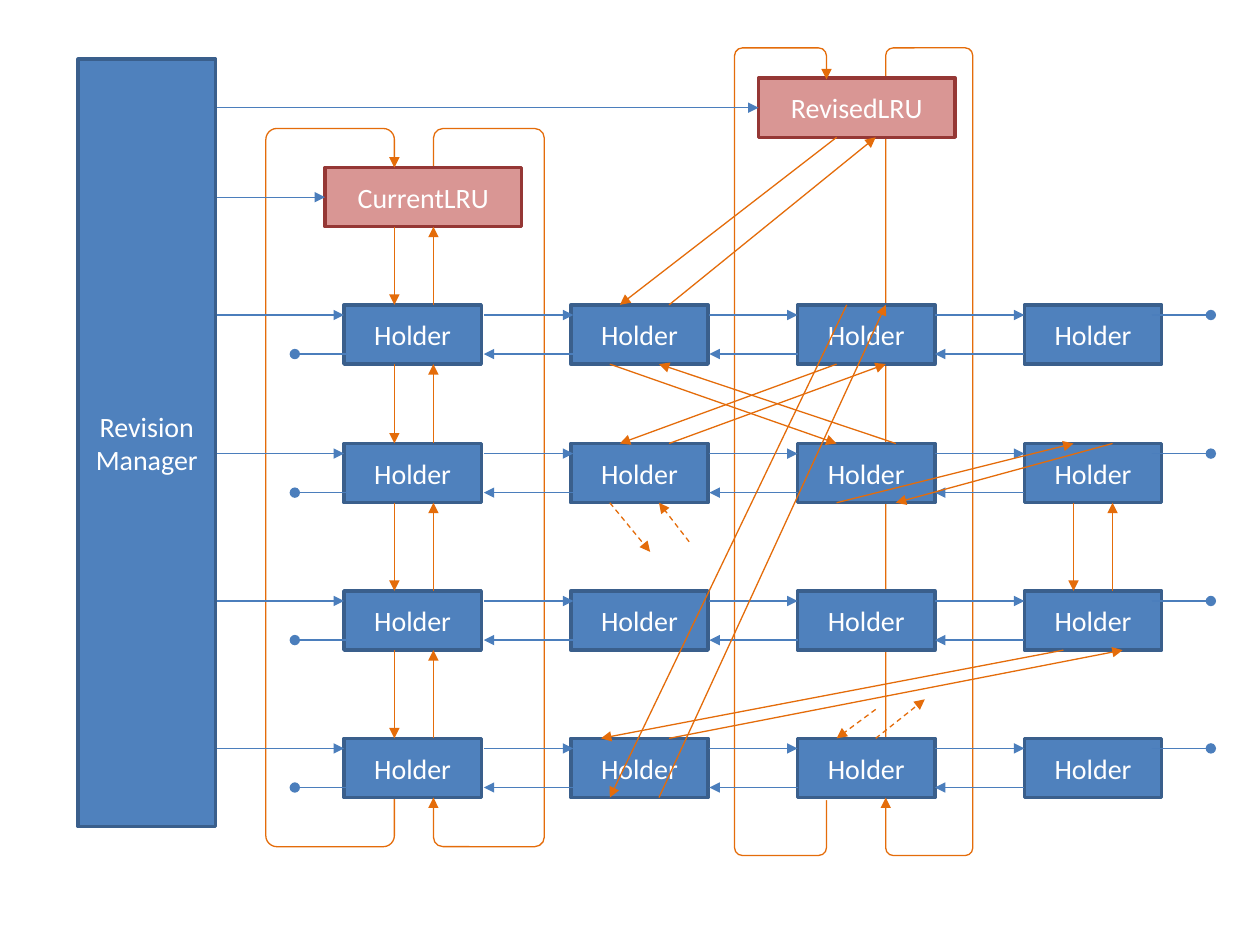
import pptx
import pptx.util
import pptx.dml.color
import pptx.enum.dml
import pptx.enum.shapes
import pptx.enum.text
import pptx.oxml
import pptx.oxml.ns
from dataclasses import dataclass
from typing import Optional

Inches = pptx.util.Inches
Shapes = pptx.enum.shapes.MSO_SHAPE


@dataclass(frozen=True)
class Theme:
    font: str = "Calibri"
    text_size: float = 16
    text: str = "FFFFFF"
    page: str = "FFFFFF"
    blue: str = "4F81BD"
    blue_edge: str = "3A5F8C"
    red: str = "D99694"
    red_edge: str = "953735"
    pointer: str = "4B7EBC"
    lru_link: str = "E46C0A"
    thin: float = 0.75
    thick: float = 2


@dataclass(frozen=True)
class Node:
    lines: tuple[str, ...]
    left: float
    top: float
    width: float
    height: float
    fill: str
    edge: str


@dataclass(frozen=True)
class Link:
    x1: float
    y1: float
    x2: float
    y2: float
    color: str
    head: str = "triangle"
    dashed: bool = False


@dataclass(frozen=True)
class Loop:
    left: float
    top: float
    width: float
    height: float
    flipped: bool = False
    mask: Optional[tuple[float, float, float, float]] = None


theme = Theme()
deck = pptx.Presentation()
deck.slide_width, deck.slide_height = Inches(10), Inches(7.5)
page = deck.slides.add_slide(deck.slide_layouts[6])


def rgb(color: str) -> pptx.dml.color.RGBColor:
    return pptx.dml.color.RGBColor.from_string(color)


def add_box(kind, left: float, top: float, width: float, height: float,
            fill: Optional[str], edge: Optional[str], weight: float = theme.thin):
    box = page.shapes.add_shape(kind, Inches(left), Inches(top), Inches(width), Inches(height))
    box.shadow.inherit = False
    if fill:
        box.fill.solid()
        box.fill.fore_color.rgb = rgb(fill)
    else:
        box.fill.background()
    if edge:
        box.line.color.rgb = rgb(edge)
        box.line.width = pptx.util.Pt(weight)
    else:
        box.line.fill.background()
    return box


def draw_node(node: Node) -> None:
    box = add_box(Shapes.RECTANGLE, node.left, node.top, node.width, node.height,
                  node.fill, node.edge, theme.thick)
    frame = box.text_frame
    frame.word_wrap = True
    frame.vertical_anchor = pptx.enum.text.MSO_ANCHOR.MIDDLE
    para = frame.paragraphs[0]
    para.alignment = pptx.enum.text.PP_ALIGN.CENTER
    for index, line in enumerate(node.lines):
        if index:
            para.add_line_break()
        span = para.add_run()
        span.text = line
        span.font.name = theme.font
        span.font.size = pptx.util.Pt(theme.text_size)
        span.font.color.rgb = rgb(theme.text)


def draw_link(link: Link) -> None:
    line = page.shapes.add_connector(
        pptx.enum.shapes.MSO_CONNECTOR.STRAIGHT,
        Inches(link.x1), Inches(link.y1), Inches(link.x2), Inches(link.y2))
    line.line.color.rgb = rgb(link.color)
    line.line.width = pptx.util.Pt(theme.thin)
    if link.dashed:
        line.line.dash_style = pptx.enum.dml.MSO_LINE.DASH
    tail = pptx.oxml.ns.qn("a:tailEnd")
    line.line._get_or_add_ln().append(line._element.makeelement(tail, {"type": link.head}))
    effects = pptx.oxml.ns.qn("a:effectLst")
    line._element.spPr.append(line._element.makeelement(effects, {}))


def draw_loop(loop: Loop) -> None:
    box = add_box(Shapes.ROUNDED_RECTANGLE, loop.left, loop.top, loop.width, loop.height,
                  None, theme.lru_link)
    box.adjustments[0] = 0.086
    if loop.flipped:
        box._element.spPr.xfrm.set("flipH", "1")
    if loop.mask:
        add_box(Shapes.RECTANGLE, *loop.mask, theme.page, None)


# Holder grid
columns = [2.73 + 1.8 * index for index in range(4)]
tops = [2.42, 3.52, 4.69, 5.86]
holder_width, holder_height = 1.09, 0.47
row1, row2, row3, row4 = tops
end1, end2, end3, end4 = [round(top + holder_height, 2) for top in tops]
manager_right = 1.72
gaps = [(3.84, 4.55), (5.63, 6.33), (7.42, 8.13)]
down, up = 3.13, 3.44

# Wrap-around loops, each opened on its inner side
for loop in (
    Loop(7.03, 0.38, 0.69, 6.41, flipped=True),
    Loop(5.83, 0.38, 0.73, 6.41, mask=(6.45, 0.73, 0.22, 5.62)),
    Loop(3.44, 1.02, 0.88, 5.7, flipped=True, mask=(3.3, 1.33, 0.27, 5)),
    Loop(2.11, 1.02, 1.02, 5.7, mask=(2.97, 1.33, 0.31, 5)),
):
    draw_loop(loop)

# Manager and list heads
draw_node(Node(("Revision", "Manager"), 0.62, 0.47, 1.09, 6.09, theme.blue, theme.blue_edge))
for name, left, top in (("CurrentLRU", 2.58, 1.33), ("RevisedLRU", 6.02, 0.62)):
    draw_node(Node((name,), left, top, 1.56, holder_height, theme.red, theme.red_edge))
    middle = top + holder_height / 2
    draw_link(Link(manager_right, middle, left, middle, theme.pointer))

# Holder rows with forward and backward pointers
for top in tops:
    ahead, back = top + 0.08, top + 0.39
    for left in columns:
        draw_node(Node(("Holder",), left, top, holder_width, holder_height,
                       theme.blue, theme.blue_edge))
    draw_link(Link(manager_right, ahead, columns[0], ahead, theme.pointer))
    for start, end in gaps:
        draw_link(Link(start, ahead, end, ahead, theme.pointer))
        draw_link(Link(end, back, start, back, theme.pointer))
    draw_link(Link(2.75, back, 2.34, back, theme.pointer, "oval"))
    draw_link(Link(9.14, ahead, 9.61, ahead, theme.pointer, "oval"))

# Current list: straight down the first column
for above, below in zip((1.8, end1, end2, end3), tops):
    draw_link(Link(down, above, down, below, theme.lru_link))
    draw_link(Link(up, below, up, above, theme.lru_link))

# Revised list: crossing the grid
for ends in (
    (4.84, end1, 6.64, row2), (7.11, row2, 5.23, end1),
    (6.64, end2, 8.52, row2), (8.83, row2, 7.11, end2),
    (8.52, end2, 8.52, row3), (8.83, row3, 8.83, end2),
    (8.44, end3, 4.77, row4), (5.31, row4, 8.91, end3),
    (6.64, 1.09, 4.92, row1), (5.31, row1, 6.95, 1.09),
    (6.72, row1, 4.84, end4), (5.23, end4, 7.03, row1),
    (6.64, end1, 4.92, row2), (5.31, row2, 7.03, end1),
):
    draw_link(Link(*ends, theme.lru_link))

# Links that continue elsewhere
for ends in (
    (4.84, end2, 5.16, 4.38), (5.47, 4.3, 5.23, end2),
    (6.95, 5.63, 6.64, row4), (6.95, row4, 7.34, 5.55),
):
    draw_link(Link(*ends, theme.lru_link, dashed=True))

# Arrowheads where the loops arrive
for x, start, end in ((down, 1.17, 1.33), (up, 6.56, 6.33), (6.56, 0.47, 0.63), (7.03, 6.56, 6.33)):
    draw_link(Link(x, start, x, end, theme.lru_link))

deck.save("out.pptx")
